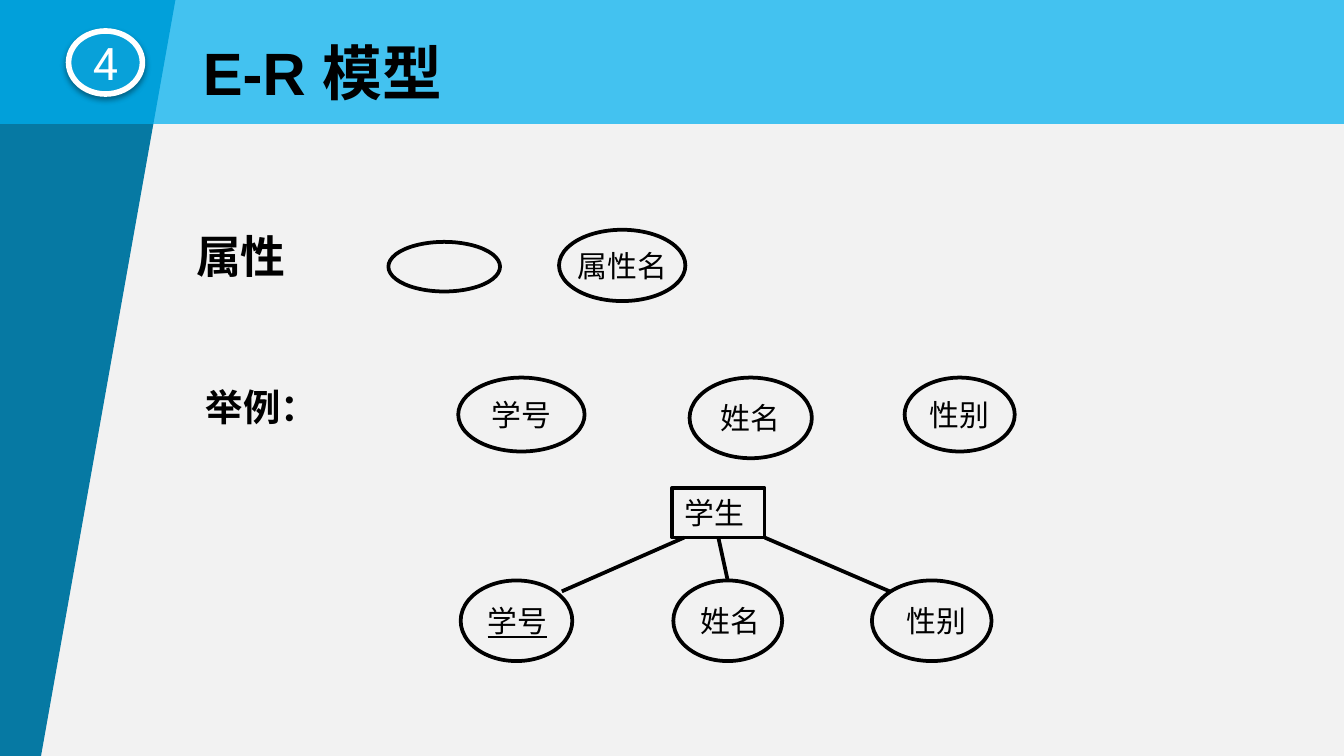
from lxml.etree import SubElement
from pptx import Presentation
from pptx.dml.color import RGBColor
from pptx.enum.shapes import MSO_CONNECTOR, MSO_SHAPE
from pptx.enum.text import MSO_ANCHOR, MSO_AUTO_SIZE, PP_ALIGN
from pptx.oxml.ns import qn
from pptx.util import Pt

COLORS = {
    "background": "F2F2F2",
    "wedge": "0679A3",
    "band": "00B0F0",
    "badge": "08A1D9",
    "ink": "000000",
    "white": "FFFFFF",
}
CJK_FONT = "Noto Sans CJK SC"


def color(name):
    return RGBColor.from_string(COLORS[name])


def format_run(run, size, font="Arial", bold=False, underline=False):
    run.font.size = Pt(size)
    run.font.name = font
    run.font.bold = bold
    run.font.underline = underline
    run.font.color.rgb = color("ink")
    properties = run._r.get_or_add_rPr()
    east_asian = SubElement(properties, qn("a:ea"), typeface=CJK_FONT)
    properties.find(qn("a:latin")).addnext(east_asian)


def fill_placeholder(shape, text, box, size, font):
    """Move a placeholder and give it one plain, bold, top-left paragraph."""
    shape.left, shape.top, shape.width, shape.height = [Pt(value) for value in box]
    frame = shape.text_frame
    frame.text = text
    frame.word_wrap = False
    frame.auto_size = MSO_AUTO_SIZE.NONE
    frame.vertical_anchor = MSO_ANCHOR.TOP
    paragraph = frame.paragraphs[0]
    properties = paragraph._p.get_or_add_pPr()
    properties.set("marL", "0")
    properties.set("indent", "0")
    SubElement(properties, qn("a:buNone"))
    paragraph.alignment = PP_ALIGN.LEFT
    paragraph.space_before = Pt(0)
    format_run(paragraph.runs[0], size, font, bold=True)


def add_backdrop(slide, title):
    """Slanted side wedge and translucent top band, behind the placeholders."""
    builder = slide.shapes.build_freeform(0, 0, scale=Pt(1))
    builder.add_line_segments([(93.6, 0), (21.6, 405), (0, 405)])
    wedge = builder.convert_to_shape()
    band = slide.shapes.add_shape(MSO_SHAPE.RECTANGLE, 0, 0, Pt(720), Pt(66.4))
    for shape, name in ((wedge, "wedge"), (band, "band")):
        shape.shadow.inherit = False
        shape.fill.solid()
        shape.fill.fore_color.rgb = color(name)
        shape.line.fill.background()
        title._element.addprevious(shape._element)
    band_color = band._element.spPr.find(qn("a:solidFill"))[0]
    SubElement(band_color, qn("a:alpha"), val="72000")


def add_node(slide, kind, box, text="", line_width=2, nudge=0, underline=False):
    """Outlined diagram node; nudge shifts its label sideways."""
    shape = slide.shapes.add_shape(kind, *[Pt(value) for value in box])
    shape.shadow.inherit = False
    shape.fill.background()
    shape.line.color.rgb = color("ink")
    shape.line.width = Pt(line_width)
    frame = shape.text_frame
    frame.word_wrap = False
    frame.vertical_anchor = MSO_ANCHOR.MIDDLE
    frame.margin_top = frame.margin_bottom = 0
    frame.margin_left = Pt(max(2 * nudge, 0))
    frame.margin_right = Pt(max(-2 * nudge, 0))
    if text:
        frame.text = text
        frame.paragraphs[0].alignment = PP_ALIGN.CENTER
        format_run(frame.paragraphs[0].runs[0], 16, underline=underline)
    return shape


def add_link(slide, start, end):
    points = [Pt(value) for value in (*start, *end)]
    link = slide.shapes.add_connector(MSO_CONNECTOR.STRAIGHT, *points)
    link.line.color.rgb = color("ink")
    link.line.width = Pt(2)
    SubElement(link._element.spPr, qn("a:effectLst"))
    return link


def add_badge(slide):
    badge = add_node(slide, MSO_SHAPE.OVAL, (36.7, 16.6, 39.6, 33.8), "4", 3)
    badge.fill.solid()
    badge.fill.fore_color.rgb = color("badge")
    badge.line.color.rgb = color("white")
    font = badge.text_frame.paragraphs[0].runs[0].font
    font.name, font.size = "Roboto", Pt(24)
    font.color.rgb = color("white")
    effects = badge._element.spPr.find(qn("a:effectLst"))
    shadow = SubElement(effects, qn("a:outerShdw"), blurRad=str(Pt(3.1)),
                        dist=str(Pt(1.6)), dir="5400000", rotWithShape="0")
    shadow_color = SubElement(shadow, qn("a:srgbClr"), val=COLORS["ink"])
    SubElement(shadow_color, qn("a:alpha"), val="38000")


def add_entity_diagram(slide):
    """Entity with its three attributes; the key is underlined."""
    entity = add_node(slide, MSO_SHAPE.RECTANGLE, (360, 261.4, 49.7, 26.6),
                      "学生", 1.75, nudge=-2)
    attributes = [
        ("学号", 246.8, 59.8, 0.5),
        ("姓名", 360.7, 58.3, 1.5),
        ("性别", 467.1, 64.1, 2.5),
    ]
    ovals = [
        add_node(slide, MSO_SHAPE.OVAL, (left, 311, width, 43.2), text,
                 nudge=nudge, underline=text == "学号")
        for text, left, width, nudge in attributes
    ]
    add_link(slide, (301, 316.8), (366.5, 288))
    add_link(slide, (476.6, 316.8), (409.7, 288))
    middle = add_link(slide, (389.9, 311), (384.9, 288))
    middle.begin_connect(ovals[1], 0)
    middle.end_connect(entity, 2)


def main():
    presentation = Presentation()
    presentation.slide_width, presentation.slide_height = Pt(720), Pt(405)
    slide = presentation.slides.add_slide(presentation.slide_layouts[3])
    slide.background.fill.solid()
    slide.background.fill.fore_color.rgb = color("background")
    title, attribute_label, example_label = slide.placeholders
    add_backdrop(slide, title)

    # Title and row labels
    for shape, text, box, size, font in (
        (title, "E-R 模型", (101.5, 15.4, 156.2, 46.1), 32, "Arial"),
        (attribute_label, "属性", (97.9, 118.8, 91.4, 51.1), 24, CJK_FONT),
        (example_label, "举例：", (103, 202.3, 118.8, 51.1), 20, CJK_FONT),
    ):
        fill_placeholder(shape, text, box, size, font)

    # Attribute symbol and example attributes
    for text, box in (
        ("", (208.1, 129.6, 59.8, 26.6)),
        ("属性名", (299.5, 123.1, 67.7, 38.2)),
        ("学号", (245.5, 202.3, 67.7, 39.6)),
        ("姓名", (369.4, 202.3, 65.5, 43.2)),
        ("性别", (484.6, 202.3, 59, 39.6)),
    ):
        add_node(slide, MSO_SHAPE.OVAL, box, text)

    add_entity_diagram(slide)
    add_badge(slide)
    presentation.save("out.pptx")


if __name__ == "__main__":
    main()
